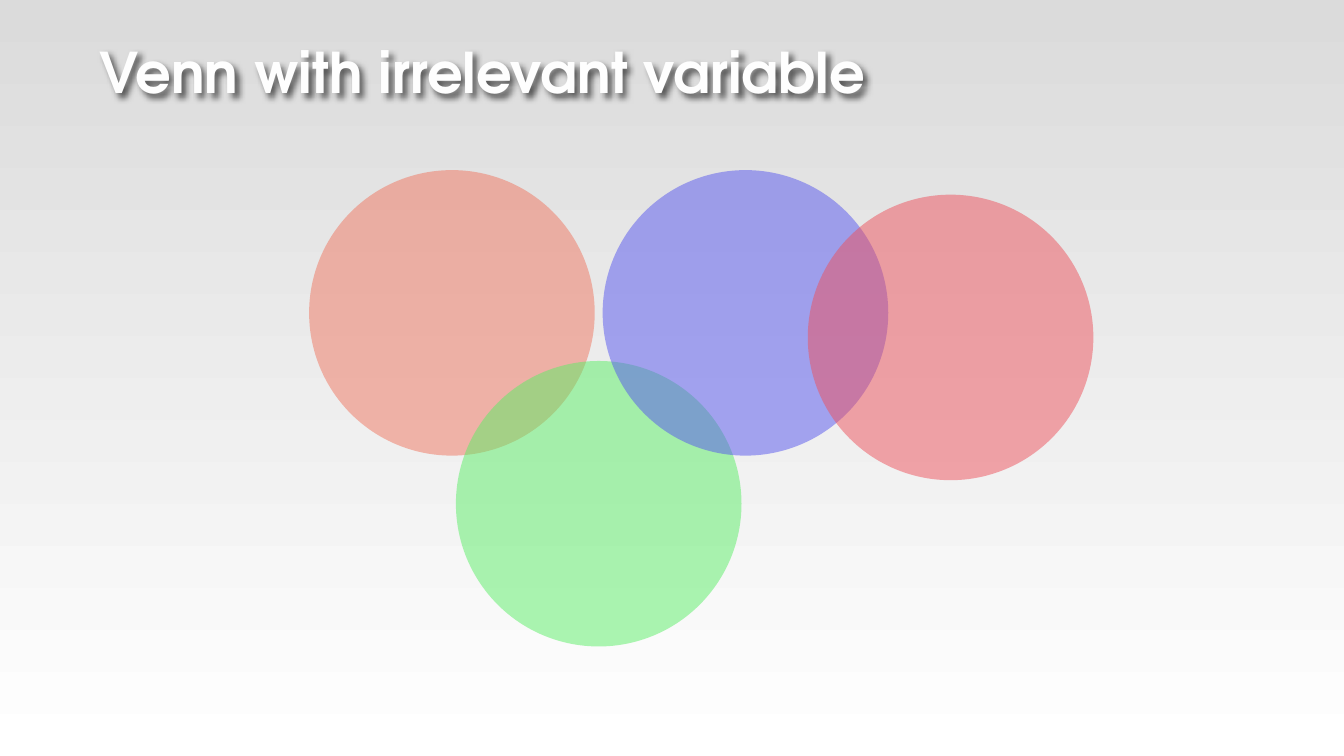
from lxml import etree
from pptx import Presentation
from pptx.dml.color import RGBColor
from pptx.enum.shapes import MSO_SHAPE
from pptx.enum.text import MSO_ANCHOR
from pptx.oxml.ns import qn
from pptx.util import Inches, Pt

ELLIPSE = MSO_SHAPE.OVAL
BOTTOM = MSO_ANCHOR.BOTTOM

COLORS = {
    "sky": "DBDBDB",
    "ground": "FFFFFF",
    "title": "FEFEFE",
    "shadow": "000000",
    "orange": "EF755F",
    "green": "5AEE66",
    "blue": "5656EE",
    "red": "ED515C",
}


class VennSlide:
    font = "TeX Gyre Adventor"
    title_size = Pt(40)
    opacity = 50

    def __init__(self, deck):
        self.slide = deck.slides.add_slide(deck.slide_layouts[6])
        self.column = deck.slide_width / 100
        self.row = deck.slide_height / 100

    def color(self, name):
        return RGBColor.from_string(COLORS[name])

    def box(self, left, top, width, height):
        return (round(left * self.column), round(top * self.row),
                round(width * self.column), round(height * self.row))

    def set_alpha(self, color_element, percent):
        etree.SubElement(color_element, qn("a:alpha"), val=str(percent * 1000))

    def background(self, top, bottom):
        fill = self.slide.background.fill
        fill.gradient()
        fill.gradient_angle = 270
        for stop, name in zip(fill.gradient_stops, (top, bottom)):
            stop.color.rgb = self.color(name)

    def title(self, text, *place):
        heading = self.slide.shapes.add_textbox(*self.box(*place))
        frame = heading.text_frame
        frame.word_wrap = True
        frame.vertical_anchor = BOTTOM
        paragraph = frame.paragraphs[0]
        paragraph.text = text
        font = paragraph.font
        font.name, font.size, font.bold = self.font, self.title_size, True
        font.color.rgb = self.color("title")
        effects = etree.SubElement(heading._element.spPr, qn("a:effectLst"))
        shadow = etree.SubElement(effects, qn("a:outerShdw"), blurRad="50800",
                                  dist="38100", dir="2700000", rotWithShape="0")
        tint = etree.SubElement(shadow, qn("a:srgbClr"), val=COLORS["shadow"])
        self.set_alpha(tint, 60)

    def circles(self, diameter, places):
        venn = self.slide.shapes.add_group_shape()
        height = diameter * self.column / self.row
        for name, left, top in places:
            circle = venn.shapes.add_shape(
                ELLIPSE, *self.box(left, top, diameter, height))
            circle.shadow.inherit = False
            circle.fill.solid()
            circle.fill.fore_color.rgb = self.color(name)
            circle.line.fill.background()
            self.set_alpha(circle._element.spPr.find(
                f"{qn('a:solidFill')}/{qn('a:srgbClr')}"), self.opacity)


def main():
    deck = Presentation()
    deck.slide_width, deck.slide_height = Inches(13.33), Inches(7.5)
    venn = VennSlide(deck)
    venn.background("sky", "ground")
    venn.title("Venn with irrelevant variable", 6.68, 6.53, 86.72, 8)
    venn.circles(21.25, [
        ("orange", 23, 22.5),
        ("green", 33.92, 47.75),
        ("blue", 44.84, 22.5),
        ("red", 60.1, 25.75),
    ])
    deck.save("out.pptx")


if __name__ == "__main__":
    main()
